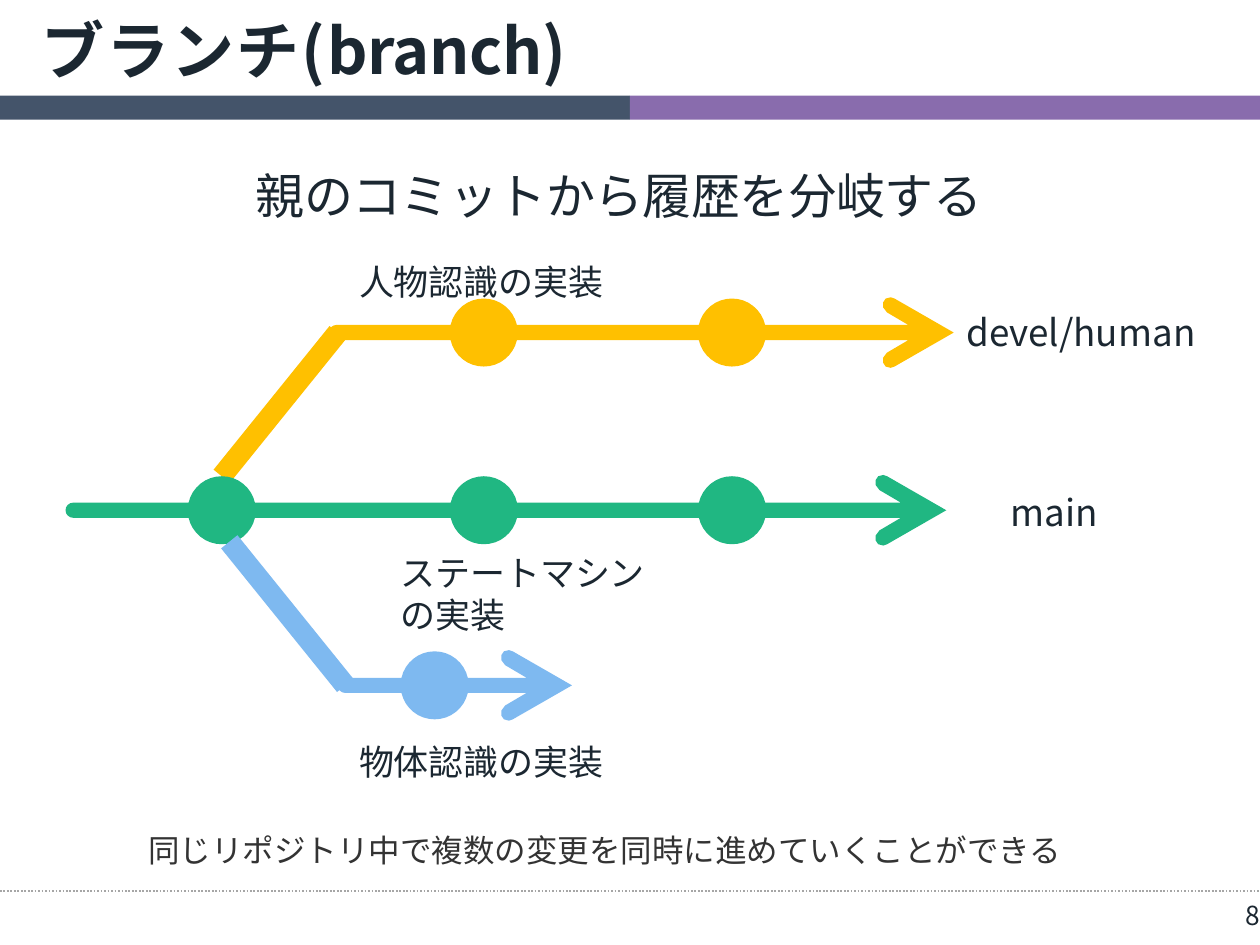
from math import asin, cos, pi, sin

from lxml.etree import SubElement
from pptx import Presentation
from pptx.dml.color import RGBColor
from pptx.enum.dml import MSO_LINE_DASH_STYLE as Dash
from pptx.enum.shapes import MSO_CONNECTOR as Connector, MSO_SHAPE as Shape
from pptx.enum.text import MSO_ANCHOR as Anchor, MSO_AUTO_SIZE as AutoSize, PP_ALIGN as Align
from pptx.oxml.ns import qn
from pptx.util import Inches, Pt

FONT = "Noto Sans CJK JP"
COLORS = {
    "slate": "44546A", "purple": "896CAD", "rule": "A6A6A6",
    "ink": "1B2731", "note": "333333",
    "human": "FFC000", "main": "20B782", "object": "7EB9F0",
}

# Content: (text, character spacing in points)
TITLE = [("ブランチ(", 1.1), ("branch)", -0.2)]
TITLE_BOX = (0.33, 0.08, 8.58, 0.62)

# Tight captions: text, box, size, character spacing
CAPTIONS = [
    ("親のコミットから履歴を分岐する", (2.03, 1.3, 5.95, 0.48), 28, -0.3),
    ("人物認識の実装", (2.85, 2.06, 2, 0.35), 20, -0.1),
    ("ステートマシンの実装", (3.18, 4.37, 2.12, 0.68), 20, -0.1),
    ("物体認識の実装", (2.85, 5.87, 2, 0.35), 20, -0.1),
]
# Labels with normal margins: text, box, size, colour, wrap
LABELS = [
    ("main", (7.92, 3.84, 0.91, 0.45), 21, "ink", False),
    ("devel/human", (7.57, 2.41, 2.09, 0.45), 21, "ink", False),
    ("同じリポジトリ中で複数の変更を同時に進めていくことができる",
     (1.08, 6.55, 8.11, 0.4), 18, "note", True),
]
# Branches: colour, start x, tip x, centre y, commit centres, fork line
BRANCHES = [
    ("human", 2.61, 7.57, 2.64, [3.84, 5.81], (1.76, 3.78, 2.68, 2.64)),
    ("main", 0.52, 7.51, 4.05, [1.76, 3.84, 5.81], None),
    ("object", 2.68, 4.54, 5.44, [3.45], (1.82, 4.3, 2.74, 5.44)),
]
HALF_LINE, COMMIT_RADIUS = 0.06, 0.27
# Upper half of the arrowhead, measured from its tip
HEAD = [(-0.36, -0.06), (-0.53, -0.16), (-0.56, -0.2), (-0.56, -0.24),
        (-0.54, -0.27), (-0.5, -0.28), (-0.47, -0.27)]


def rgb(name):
    return RGBColor.from_string(COLORS[name])


def inches(box):
    return [Inches(length) for length in box]


def style(paragraph, size, color="ink", bold=False, spacing=None):
    font = paragraph.font
    font.name, font.size, font.bold = FONT, Pt(size), bold
    font.color.rgb = rgb(color)
    props = paragraph._p.pPr.find(qn("a:defRPr"))
    SubElement(props, qn("a:ea")).set("typeface", FONT)
    if spacing is not None:
        props.set("spc", str(round(spacing * 100)))


def set_frame(frame, margins=None, wrap=True):
    frame.word_wrap = wrap
    frame.auto_size = AutoSize.SHAPE_TO_FIT_TEXT
    frame.vertical_anchor = Anchor.TOP
    if margins:
        (frame.margin_left, frame.margin_top,
         frame.margin_right, frame.margin_bottom) = inches(margins)


def add_text(slide, text, box, size, color="ink", wrap=True, margins=None, spacing=None):
    frame = slide.shapes.add_textbox(*inches(box)).text_frame
    set_frame(frame, margins, wrap)
    paragraph = frame.paragraphs[0]
    paragraph.text = text
    style(paragraph, size, color, spacing=spacing)
    return paragraph


def add_line(slide, ends, color, width):
    line = slide.shapes.add_connector(Connector.STRAIGHT, *inches(ends))
    line.line.color.rgb = rgb(color)
    line.line.width = Pt(width)
    SubElement(line._element.spPr, qn("a:effectLst"))
    return line


def paint(shape, color):
    shape.shadow.inherit = False
    shape.fill.solid()
    shape.fill.fore_color.rgb = rgb(color)
    shape.line.fill.background()


def upper_arc(center, radius, first, last, steps):
    angles = [first + (last - first) * i / steps for i in range(steps + 1)]
    return [(center + radius * cos(a), -radius * sin(a)) for a in angles]


def branch_outline(start, tip, y, commits):
    """Trace the upper edge, then mirror it below the centre line."""
    upper = upper_arc(start + HALF_LINE, HALF_LINE, pi, pi / 2, 4)
    meet = asin(HALF_LINE / COMMIT_RADIUS)
    for commit in commits:
        upper += upper_arc(commit, COMMIT_RADIUS, pi - meet, meet, 16)
    upper += [(tip + dx, dy) for dx, dy in HEAD]
    lower = [(x, -dy) for x, dy in reversed(upper)]
    return [(x, y + dy) for x, dy in upper + [(tip, 0)] + lower]


def add_branch(slide, color, start, tip, y, commits, fork):
    if fork:
        add_line(slide, fork, color, 12)
    first, *rest = [inches(point) for point in branch_outline(start, tip, y, commits)]
    builder = slide.shapes.build_freeform(*first)
    builder.add_line_segments(rest, close=True)
    paint(builder.convert_to_shape(), color)


def main():
    deck = Presentation()
    deck.slide_width, deck.slide_height = Inches(10), Inches(7.5)
    slide = deck.slides.add_slide(deck.slide_layouts[5])

    # Title
    title = slide.shapes.title
    title.left, title.top, title.width, title.height = inches(TITLE_BOX)
    set_frame(title.text_frame, (0, 0.01, 0, 0))
    heading = title.text_frame.paragraphs[0]
    heading.alignment = Align.LEFT
    style(heading, 36, bold=True)
    for text, spacing in TITLE:
        run = heading.add_run()
        run.text = text
        run._r.get_or_add_rPr().set("spc", str(round(spacing * 100)))

    # Header bars and footer rule
    for left, color in [(0, "slate"), (5, "purple")]:
        bar = slide.shapes.add_shape(Shape.RECTANGLE, *inches((left, 0.76, 5, 0.19)))
        paint(bar, color)
    add_line(slide, (0, 7.07, 10, 7.07), "rule", 1).line.dash_style = Dash.ROUND_DOT

    # Branch diagram
    for branch in BRANCHES:
        add_branch(slide, *branch)

    # Captions, labels and page number
    for text, box, size, spacing in CAPTIONS:
        add_text(slide, text, box, size, margins=(0, 0.01, 0, 0), spacing=spacing)
    for label in LABELS:
        add_text(slide, *label)
    page = add_text(slide, "8", (7.75, 7.14, 2.25, 0.25), 15, margins=(0, 0, 0, 0))
    page.alignment = Align.RIGHT

    deck.save("out.pptx")


if __name__ == "__main__":
    main()
